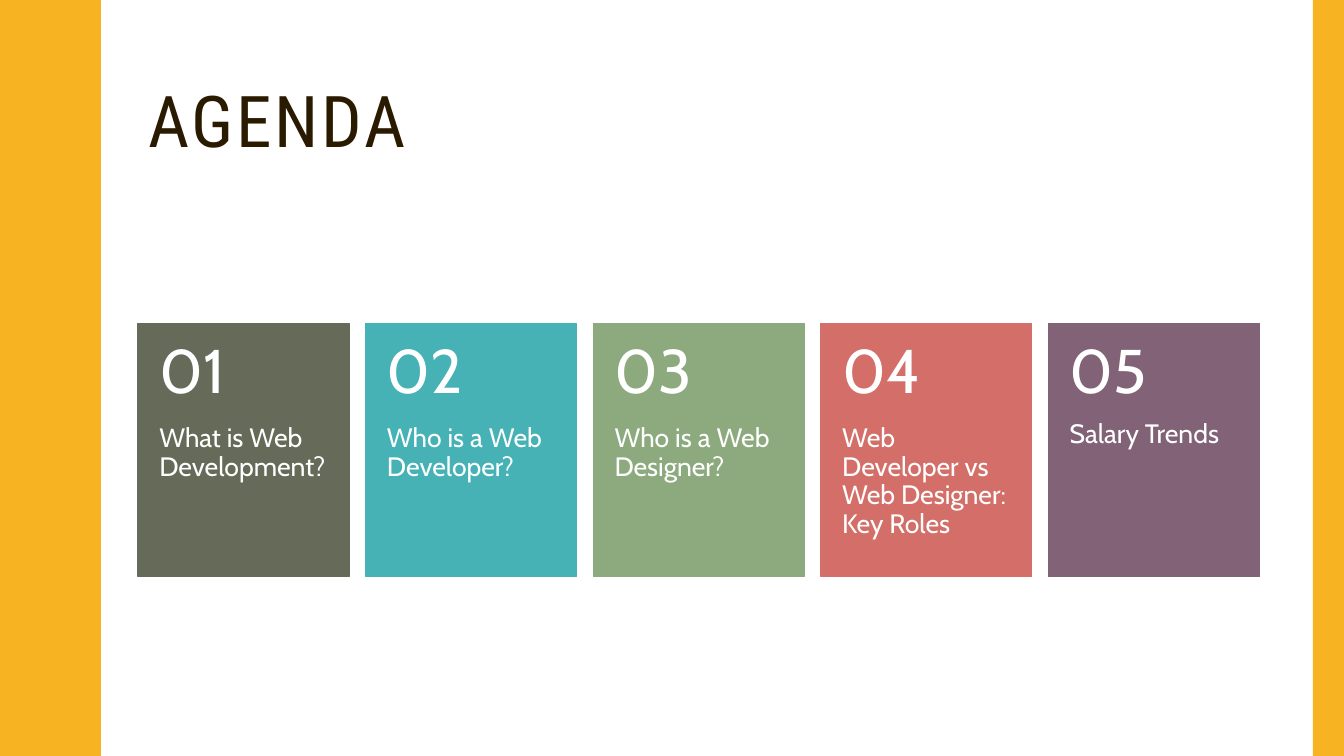
"""Build the agenda slide: five numbered topic cards beside a wavy edge."""
from pptx import Presentation
from pptx.dml.color import RGBColor
from pptx.enum.shapes import MSO_SHAPE
from pptx.enum.text import MSO_ANCHOR
from pptx.util import Inches, Pt

RECTANGLE = MSO_SHAPE.RECTANGLE
TOP, MIDDLE = MSO_ANCHOR.TOP, MSO_ANCHOR.MIDDLE

WIDTH, HEIGHT = 13.33, 7.5
TITLE = "AGENDA"
TOPICS = [
    ("What is Web Development?", "656A59"),
    ("Who is a Web Developer?", "46B2B5"),
    ("Who is a Web Designer?", "8CAA7E"),
    ("Web Developer vs Web Designer: Key Roles", "D36F68"),
    ("Salary Trends", "826276"),
]
GOLD, DARK, WHITE = "F8B323", "2A1A00", "FFFFFF"
TITLE_FONT, BODY_FONT = "Roboto Condensed", "Cabin"

LEFT, RIGHT = 1.37, 12.49
CARD_TOP, CARD_WIDTH, CARD_HEIGHT, NUMBER_HEIGHT = 3.21, 2.09, 2.51, 1
PITCH = (RIGHT - LEFT - CARD_WIDTH) / (len(TOPICS) - 1)
BAR_WIDTH = 0.31

WAVE_COUNT = 5
WAVE_HEIGHT = HEIGHT / WAVE_COUNT
HALF_WAVE = [
    (0.78, 0), (0.78, 0.07), (0.79, 0.14), (0.8, 0.2), (0.81, 0.25),
    (0.83, 0.29), (0.85, 0.33), (0.87, 0.38), (0.89, 0.42), (0.91, 0.46),
    (0.93, 0.5), (0.95, 0.55), (0.96, 0.61), (0.97, 0.68), (0.97, 0.75),
]


def color(value):
    return RGBColor.from_string(value)


def paint(shape, fill):
    shape.shadow.inherit = False
    shape.fill.solid()
    shape.fill.fore_color.rgb = color(fill)
    shape.line.fill.background()


def add_block(shapes, area, fill):
    block = shapes.add_shape(RECTANGLE, *map(Inches, area))
    paint(block, fill)
    return block


def add_text(shapes, area, text, size, font, ink, anchor, insets):
    box = shapes.add_textbox(*map(Inches, area))
    frame = box.text_frame
    frame.word_wrap = True
    frame.vertical_anchor = anchor
    frame.margin_left, frame.margin_top, frame.margin_right, frame.margin_bottom = map(Inches, insets)
    para = frame.paragraphs[0]
    para.text = text
    para.line_spacing = 0.9
    para.font.size = Pt(size)
    para.font.name = font
    para.font.color.rgb = color(ink)
    return para


def add_wavy_edge(shapes):
    wave = HALF_WAVE + [(x, WAVE_HEIGHT - y) for x, y in HALF_WAVE[-2::-1]]
    edge = [(x, y + turn * WAVE_HEIGHT) for turn in range(WAVE_COUNT) for x, y in wave]
    builder = shapes.build_freeform(0, 0, scale=Inches(1))
    builder.add_line_segments(edge + [(0, HEIGHT)], close=True)
    paint(builder.convert_to_shape(), GOLD)


def add_card(shapes, index, topic, fill):
    left = LEFT + index * PITCH
    card = shapes.add_group_shape().shapes
    block = add_block(card, (left, CARD_TOP, CARD_WIDTH, CARD_HEIGHT), fill)
    block.line.color.rgb = color(fill)
    block.line.width = Pt(1)
    topic_area = (left, CARD_TOP + NUMBER_HEIGHT, CARD_WIDTH, CARD_HEIGHT - NUMBER_HEIGHT)
    add_text(card, topic_area, topic, 19, BODY_FONT, WHITE, TOP, (0.21, 0, 0.21, 0.36))
    number_area = (left, CARD_TOP, CARD_WIDTH, NUMBER_HEIGHT)
    add_text(card, number_area, f"{index + 1:02}", 44, BODY_FONT, WHITE, MIDDLE,
             (0.21, 0.18, 0.21, 0.18))


def main():
    deck = Presentation()
    deck.slide_width, deck.slide_height = Inches(WIDTH), Inches(HEIGHT)
    page = deck.slides.add_slide(deck.slide_layouts[6])
    title = add_text(page.shapes, (LEFT, 0.42, 11.13, 1.63), TITLE, 51, TITLE_FONT, DARK,
                     MIDDLE, (0.1, 0.05, 0.1, 0.05))
    title.runs[0].font._element.set("spc", "200")
    add_wavy_edge(page.shapes)
    add_block(page.shapes, (WIDTH - BAR_WIDTH, 0, BAR_WIDTH, HEIGHT), GOLD)
    for index, (topic, fill) in enumerate(TOPICS):
        add_card(page.shapes, index, topic, fill)
    deck.save("out.pptx")


if __name__ == "__main__":
    main()
